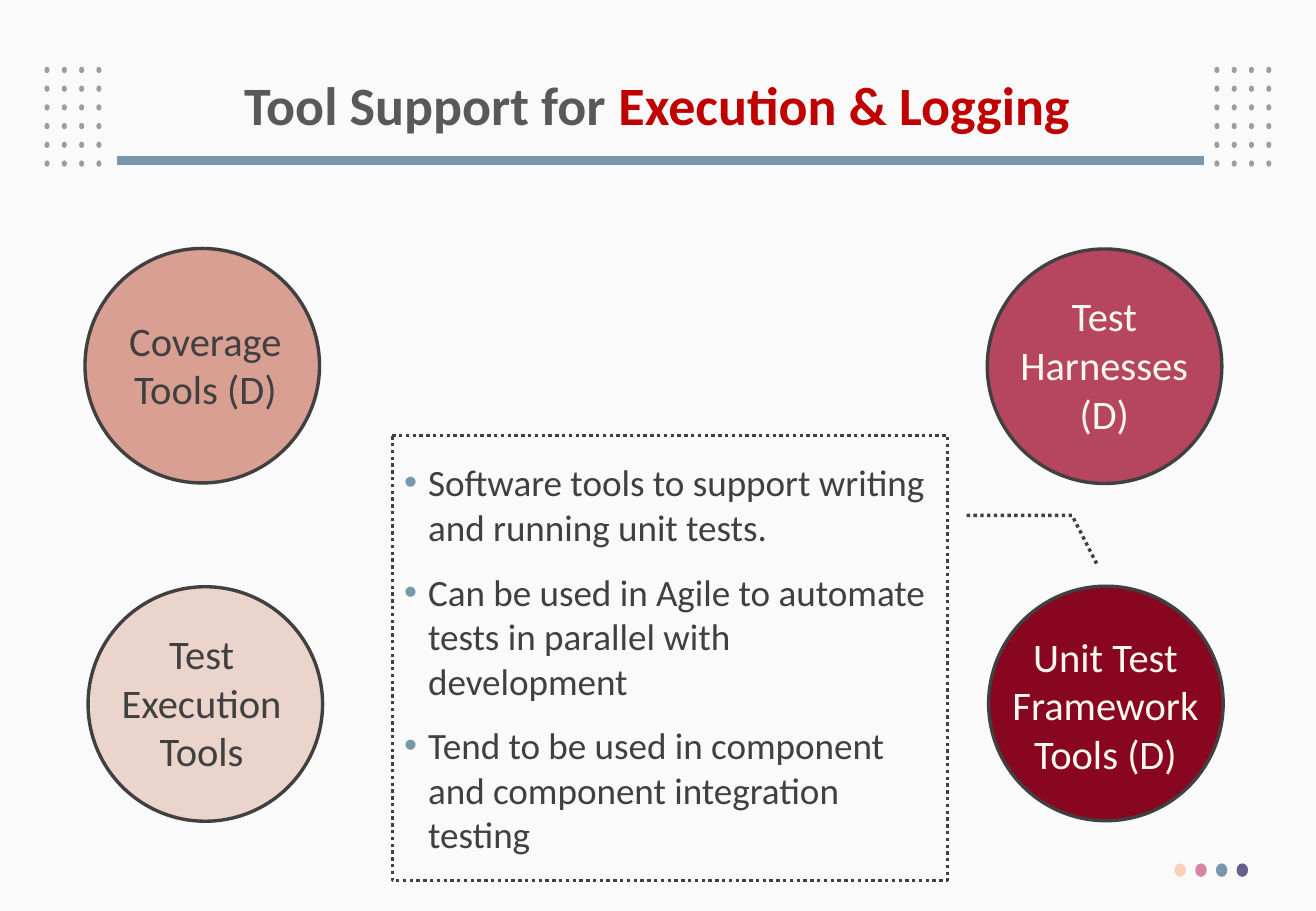
from itertools import product

from lxml.etree import SubElement
from pptx import Presentation
from pptx.dml.color import RGBColor
from pptx.enum.dml import MSO_LINE
from pptx.enum.shapes import MSO_CONNECTOR, MSO_SHAPE
from pptx.enum.text import MSO_ANCHOR, PP_ALIGN
from pptx.oxml.ns import qn
from pptx.util import Pt

COLORS = {
    "background": "FAFAFA",
    "grid": "9D9D9D",
    "blue": "7897AB",
    "title": "595959",
    "accent": "C00000",
    "dark": "404040",
    "light": "FEF9EF",
    "peach": "FDCEB9",
    "pink": "D885A3",
    "violet": "655D8A",
    "sand": "EBD4CB",
    "salmon": "DA9F93",
    "rose": "B6465F",
    "wine": "890620",
}


def color(name):
    return RGBColor.from_string(COLORS[name])


def write(para, text, size=24, ink="dark", bold=False, align=PP_ALIGN.CENTER):
    para.alignment = align
    span = para.add_run()
    span.text = text
    span.font.name = "Calibri"
    span.font.size = Pt(size)
    span.font.bold = bold
    span.font.color.rgb = color(ink)


deck = Presentation()
deck.slide_width, deck.slide_height = Pt(780), Pt(540)
page = deck.slides.add_slide(deck.slide_layouts[6])
page.background.fill.solid()
page.background.fill.fore_color.rgb = color("background")

dots = [
    (left + column * 10.25, 39.6 + row * 11.1, 3, 3.7, "grid")
    for left, row, column in product((26.4, 719.8), range(6), range(4))
]
dots += [
    (696.2 + index * 12.25, 511.8, 6.8, 8, name)
    for index, name in enumerate(("peach", "pink", "blue", "violet"))
]
for left, top, width, height, name in dots:
    dot = page.shapes.add_shape(MSO_SHAPE.OVAL, Pt(left), Pt(top), Pt(width), Pt(height))
    dot.shadow.inherit = False
    dot.fill.solid()
    dot.fill.fore_color.rgb = color(name)
    dot.line.fill.background()

rule = page.shapes.add_connector(MSO_CONNECTOR.STRAIGHT, Pt(69.3), Pt(95), Pt(713.5), Pt(95))
rule.line.color.rgb = color("blue")
rule.line.width = Pt(5.25)
SubElement(rule.element.spPr, qn("a:effectLst"))

title = page.shapes.add_textbox(Pt(53.3), Pt(28.8), Pt(672.5), Pt(70.6))
title.text_frame.word_wrap = True
title.text_frame.vertical_anchor = MSO_ANCHOR.MIDDLE
heading = title.text_frame.paragraphs[0]
heading.line_spacing = 0.9
write(heading, "Tool Support for ", size=32, ink="title", bold=True)
write(heading, "Execution & Logging", size=32, ink="accent", bold=True)

callout = page.shapes.add_shape(MSO_SHAPE.LINE_CALLOUT_2, Pt(232.5), Pt(258), Pt(329), Pt(264))
callout.shadow.inherit = False
callout.fill.background()
callout.line.color.rgb = color("dark")
callout.line.width = Pt(2)
callout.line.dash_style = MSO_LINE.ROUND_DOT
for index, value in enumerate((0.18, 1.035, 0.18, 1.225, 0.288, 1.269)):
    callout.adjustments[index] = value
notes = callout.text_frame
notes.word_wrap = True
notes.vertical_anchor = MSO_ANCHOR.MIDDLE
facts = (
    "Software tools to support writing and running unit tests.",
    "Can be used in Agile to automate tests in parallel with development",
    "Tend to be used in component and component integration testing",
)
for index, fact in enumerate(facts):
    para = notes.add_paragraph() if index else notes.paragraphs[0]
    if index:
        para.space_before = Pt(12)
    properties = para._p.get_or_add_pPr()
    properties.set("marL", str(Pt(14.2)))
    properties.set("indent", str(Pt(-14.2)))
    bullet_color = SubElement(properties, qn("a:buClr"))
    SubElement(bullet_color, qn("a:srgbClr"), val=COLORS["blue"])
    SubElement(properties, qn("a:buFont"), typeface="Arial")
    SubElement(properties, qn("a:buChar"), char="•")
    write(para, fact, size=22, align=PP_ALIGN.LEFT)

tools = (
    (52.2, 347.8, "sand", "dark", 33.8, 369.4, 94.3, ("Test", "Execution", "Tools")),
    (50.4, 147.3, "salmon", "dark", 36, 183.6, 65.5, ("Coverage", "Tools (D)")),
    (585.2, 147.6, "rose", "light", 568.8, 169.2, 94.3, ("Test", "Harnesses", "(D)")),
    (586, 347.5, "wine", "light", 569.5, 370.8, 94.3, ("Unit Test Framework Tools (D)",)),
)
for left, top, fill, ink, text_left, text_top, text_height, lines in tools:
    circle = page.shapes.add_shape(MSO_SHAPE.OVAL, Pt(left), Pt(top), Pt(139), Pt(139))
    circle.shadow.inherit = False
    circle.fill.solid()
    circle.fill.fore_color.rgb = color(fill)
    circle.line.color.rgb = color("dark")
    circle.line.width = Pt(2)
    label = page.shapes.add_textbox(Pt(text_left), Pt(text_top), Pt(171.4), Pt(text_height))
    label.text_frame.word_wrap = True
    for index, line in enumerate(lines):
        para = label.text_frame.add_paragraph() if index else label.text_frame.paragraphs[0]
        write(para, line, ink=ink)

deck.save("out.pptx")
